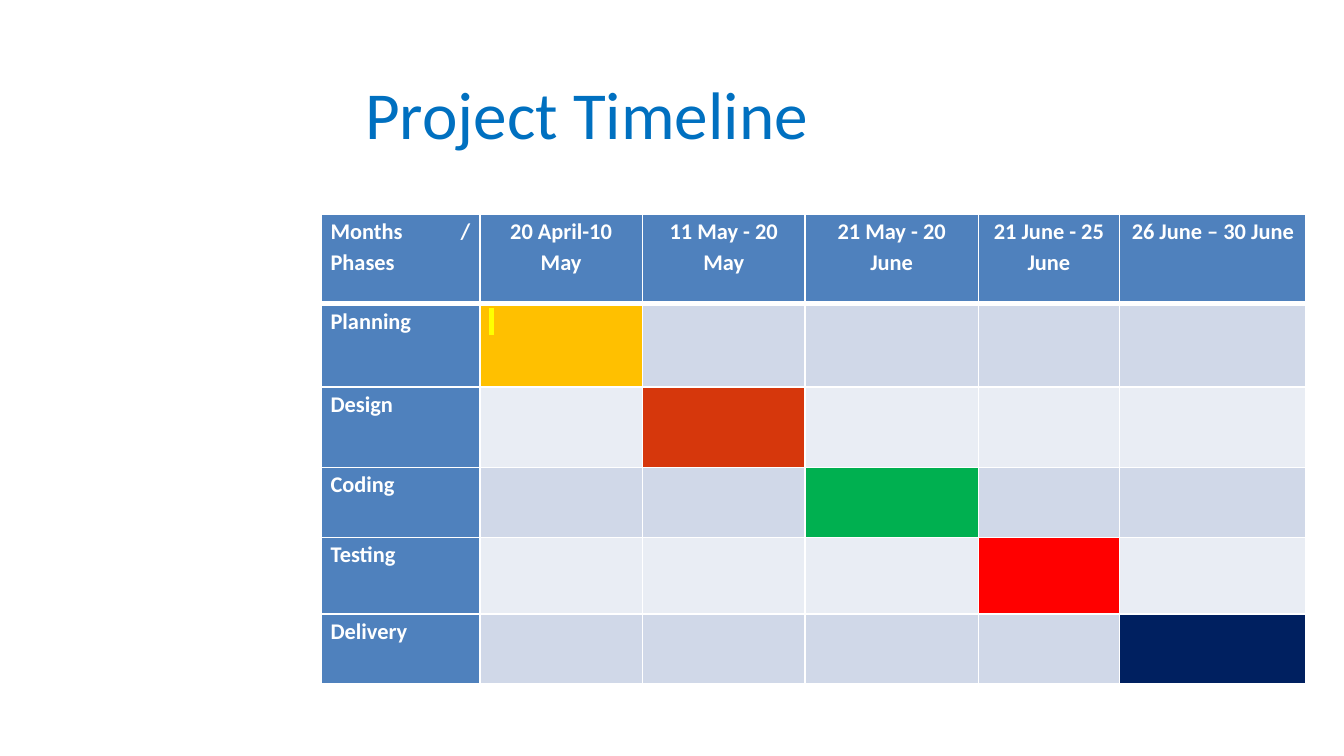
"""Build the project timeline slide: a title above a table of phases and dates."""
from lxml import etree
from pptx import Presentation
from pptx import util as u
from pptx.dml.color import RGBColor
from pptx.enum import text
from pptx.oxml import ns

COLORS = {
    "title": "0070C0", "header": "4F81BD", "white": "FFFFFF", "mark": "FFFF00",
    "band_dark": "D0D8E8", "band_light": "E9EDF4",
}
FONT = "Calibri"
SLIDE_WIDTH = 10
SLIDE_HEIGHT = SLIDE_WIDTH * 9 / 16
TITLE = "Project Timeline"
HEADERS = ["Months / Phases", "20 April-10 May", "11 May - 20 May",
           "21 May - 20 June", "21 June - 25 June", "26 June – 30 June"]
PHASES = [("Planning", "FFC000"), ("Design", "D6370C"), ("Coding", "00B050"),
          ("Testing", "FF0000"), ("Delivery", "002060")]
COLUMN_WIDTHS = [1.18, 1.21, 1.21, 1.29, 1.05, 1.39]
ROW_HEIGHTS = [0.67, 0.62, 0.6, 0.52, 0.57, 0.52]


def add_run(paragraph, words, size, color, bold=False):
    run = paragraph.add_run()
    run.text = words
    run.font.name = FONT
    run.font.size = u.Pt(size)
    run.font.bold = bold
    run.font.color.rgb = RGBColor.from_string(color)
    return run


def highlight(run, color):
    mark = etree.Element(ns.qn("a:highlight"))
    etree.SubElement(mark, ns.qn("a:srgbClr"), val=color)
    run._r.get_or_add_rPr().find(ns.qn("a:solidFill")).addnext(mark)


def set_borders(cell, top, bottom):
    properties = cell._tc.get_or_add_tcPr()
    sides = [("a:lnL", 1), ("a:lnR", 1), ("a:lnT", top), ("a:lnB", bottom)]
    for position, (tag, width) in enumerate(sides):
        line = etree.Element(ns.qn(tag), w=str(u.Pt(width)))
        fill = etree.SubElement(line, ns.qn("a:solidFill"))
        etree.SubElement(fill, ns.qn("a:srgbClr"), val=COLORS["white"])
        properties.insert(position, line)


def fill_cell(cell, color):
    cell.fill.solid()
    cell.fill.fore_color.rgb = RGBColor.from_string(color)


def write_label(cell, words, alignment):
    cell.margin_left = cell.margin_right = u.Inches(0.07)
    cell.margin_top = cell.margin_bottom = 0
    paragraph = cell.text_frame.paragraphs[0]
    paragraph.alignment = alignment
    paragraph.line_spacing = 1.15
    paragraph.space_after = u.Pt(10)
    return add_run(paragraph, words, 12, COLORS["white"], bold=True)


def add_title(slide):
    box = slide.shapes.add_textbox(u.Inches(2.62), u.Inches(0.44), u.Inches(6.87), u.Inches(0.79))
    frame = box.text_frame
    frame.word_wrap = True
    frame.vertical_anchor = text.MSO_ANCHOR.MIDDLE
    add_run(frame.paragraphs[0], TITLE, 36, COLORS["title"])


def add_timeline(slide):
    table = slide.shapes.add_table(
        len(ROW_HEIGHTS), len(COLUMN_WIDTHS), u.Inches(2.39), u.Inches(1.59),
        u.Inches(sum(COLUMN_WIDTHS)), u.Inches(sum(ROW_HEIGHTS))).table
    for column, width in zip(table.columns, COLUMN_WIDTHS):
        column.width = u.Inches(width)
    for row, height in zip(table.rows, ROW_HEIGHTS):
        row.height = u.Inches(height)

    for column, words in enumerate(HEADERS):
        cell = table.cell(0, column)
        fill_cell(cell, COLORS["header"])
        set_borders(cell, 1, 3)
        write_label(cell, words, text.PP_ALIGN.CENTER if column else text.PP_ALIGN.JUSTIFY)

    for row, (phase, phase_color) in enumerate(PHASES, start=1):
        band = COLORS["band_dark" if row % 2 else "band_light"]
        for column in range(len(HEADERS)):
            cell = table.cell(row, column)
            fill_cell(cell, COLORS["header"] if column == 0
                      else phase_color if column == row else band)
            set_borders(cell, 3 if row == 1 else 1, 1)
        write_label(table.cell(row, 0), phase, text.PP_ALIGN.JUSTIFY)

    marker = write_label(table.cell(1, 1), " ", text.PP_ALIGN.JUSTIFY)
    highlight(marker, COLORS["mark"])


def main():
    presentation = Presentation()
    presentation.slide_width = u.Inches(SLIDE_WIDTH)
    presentation.slide_height = u.Inches(SLIDE_HEIGHT)
    slide = presentation.slides.add_slide(presentation.slide_layouts[6])
    add_title(slide)
    add_timeline(slide)
    presentation.save("out.pptx")


if __name__ == "__main__":
    main()
